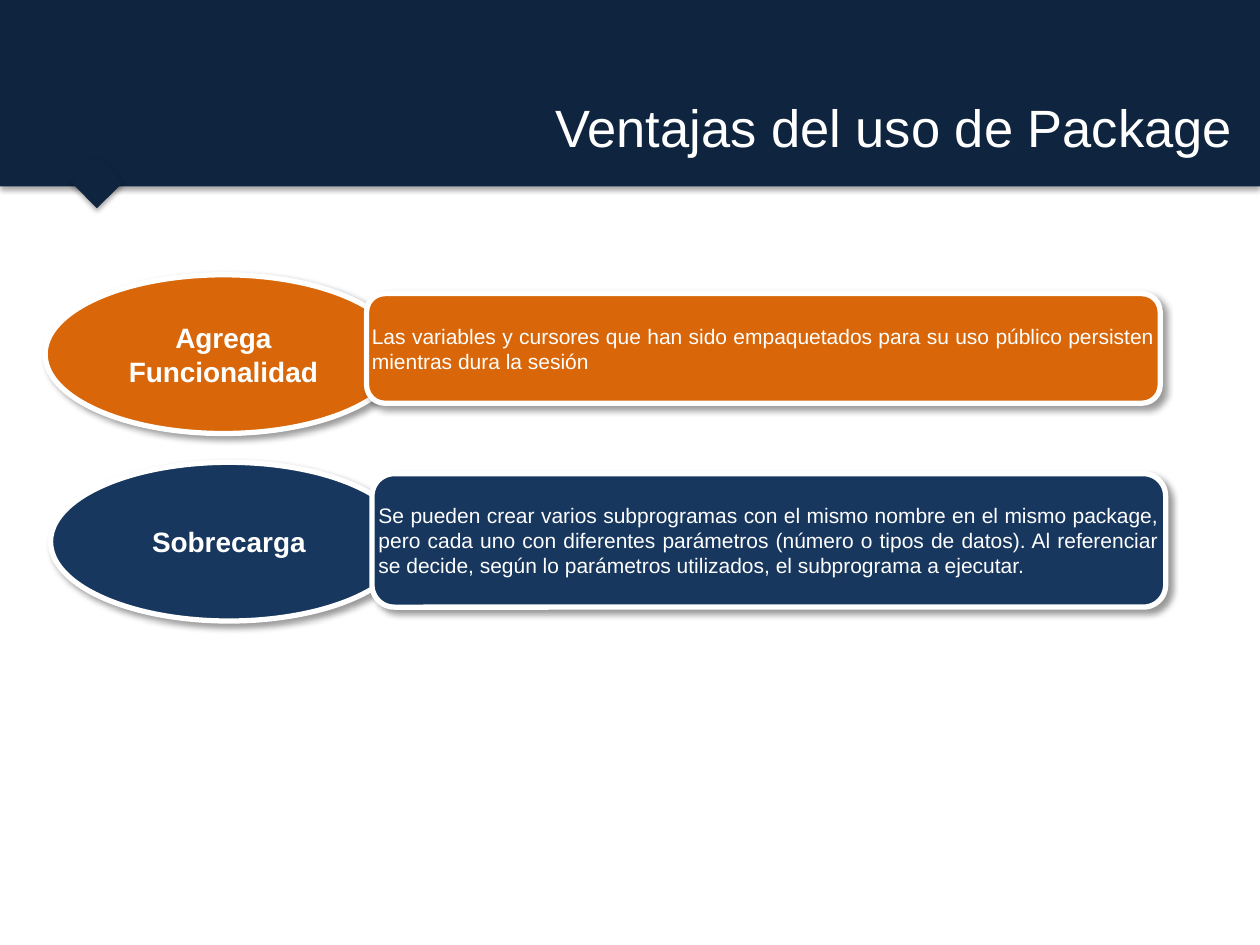
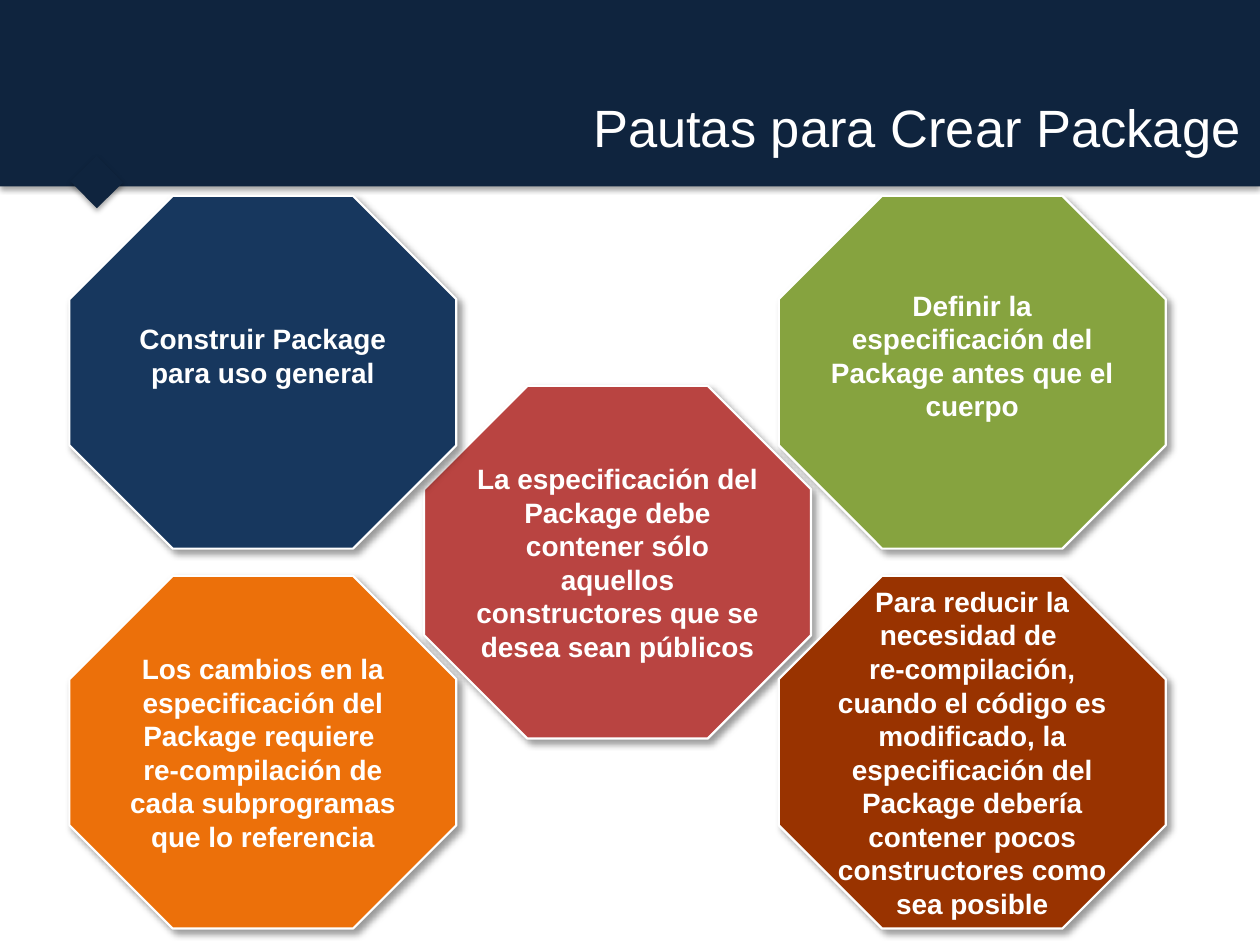
from lxml import etree
from pptx import Presentation
from pptx import util as u
from pptx.dml.color import RGBColor
from pptx.enum import shapes, text
from pptx.oxml.ns import qn

WHITE = RGBColor(0xFF, 0xFF, 0xFF)
NIGHT = RGBColor(0x0F, 0x24, 0x3E)
NAVY = RGBColor(0x17, 0x37, 0x5E)
AMBER = RGBColor(0xD9, 0x67, 0x09)
ORANGE = RGBColor(0xEC, 0x70, 0x0A)
RED = RGBColor(0xB9, 0x44, 0x41)
GREEN = RGBColor(0x86, 0xA3, 0x3F)
RUST = RGBColor(0x99, 0x33, 0x00)

FONT = "Arial"
TITLE_ONLY = 5
BAND_SHADOW = (35, 3.1, 1.8, 90)
SHAPE_SHADOW = (40, 4, 3, 45)

ADVANTAGES = [
    ((0.91, 5.54), 0.38, 2.21, AMBER, "Agrega Funcionalidad",
     "Las variables y cursores que han sido empaquetados para su uso público "
     "persisten mientras dura la sesión"),
    ((1.02, 9.32), 0.23, 2.69, NAVY, "Sobrecarga",
     "Se pueden crear varios subprogramas con el mismo nombre en el mismo package, "
     "pero cada uno con diferentes parámetros (número o tipos de datos). Al referenciar "
     "se decide, según lo parámetros utilizados, el subprograma a ejecutar."),
]

GUIDELINES = [
    (1, 1, RED, 0, "La especificación del Package debe contener sólo aquellos "
                   "constructores que se desea sean públicos"),
    (2, 0, GREEN, 0.68, "Definir la especificación del Package antes que el cuerpo"),
    (0, 0, NAVY, 0.68, "Construir Package para uso general"),
    (0, 2, ORANGE, 0, "Los cambios en la especificación del Package requiere \n"
                      "re-compilación de cada subprogramas que lo referencia"),
    (2, 2, RUST, 0, "Para reducir la necesidad de \n"
                    "re-compilación, cuando el código es modificado, la especificación del "
                    "Package debería contener pocos constructores como sea posible"),
]


def add_shadow(shape, opacity, blur, distance, angle):
    """Give a shape a black outer shadow, in percent, points and degrees."""
    shape.shadow.inherit = False
    effects = shape._element.spPr.find(qn("a:effectLst"))
    shadow = etree.SubElement(
        effects, qn("a:outerShdw"), blurRad=str(u.Pt(blur)), dist=str(u.Pt(distance)),
        dir=str(angle * 60000), algn="ctr", rotWithShape="0")
    color = etree.SubElement(shadow, qn("a:srgbClr"), val="000000")
    etree.SubElement(color, qn("a:alpha"), val=str(opacity * 1000))


def add_filled(slide, kind, box, fill, line_width=0, shadow=SHAPE_SHADOW):
    """Add a filled shape with a white outline, or none if the width is zero."""
    shape = slide.shapes.add_shape(kind, *map(u.Cm, box))
    shape.fill.solid()
    shape.fill.fore_color.rgb = fill
    if line_width:
        shape.line.color.rgb = WHITE
        shape.line.width = u.Pt(line_width)
    else:
        shape.line.fill.background()
    add_shadow(shape, *shadow)
    return shape


def write(shape, words, size, alignment, bold=False):
    """Write white text, vertically centred, in a shape."""
    frame = shape.text_frame
    frame.text = words
    frame.word_wrap = True
    frame.vertical_anchor = text.MSO_ANCHOR.MIDDLE
    for paragraph in frame.paragraphs:
        paragraph.alignment = alignment
        for run in paragraph.runs:
            run.font.name = FONT
            run.font.size = u.Pt(size)
            run.font.bold = bold
            run.font.color.rgb = WHITE


def write_inside(shape, words, size, alignment, bold=False, bottom=0):
    """Write text in a shape without margins, except an optional one below."""
    write(shape, words, size, alignment, bold)
    frame = shape.text_frame
    frame.margin_left = frame.margin_top = frame.margin_right = 0
    frame.margin_bottom = u.Cm(bottom)


def add_title(slide, words, box):
    """Place and format the slide title."""
    title = slide.shapes.title
    title.left, title.top, title.width, title.height = map(u.Cm, box)
    write(title, words, 30, text.PP_ALIGN.RIGHT)


def move_band_to_layout(slide):
    """Build the title band with its pointer and share it through the layout."""
    rectangle = shapes.MSO_SHAPE.RECTANGLE
    band = add_filled(slide, rectangle, (0, 0, 25.4, 3.76), NIGHT, shadow=BAND_SHADOW)
    pointer = add_filled(slide, rectangle, (1.57, 3.3, 0.76, 0.74), NIGHT, shadow=BAND_SHADOW)
    pointer.rotation = 45.6
    tree = slide.slide_layout.shapes._spTree
    for index, shape in enumerate((band, pointer)):
        shape._element.nvSpPr.cNvPr.set("id", str(100 + index))
        tree.insert(2 + index, shape._element)


def add_advantage(slide, corner, bar_drop, bar_height, fill, name, detail):
    """Add an ellipse with a name and, over its right end, a bar with the detail."""
    left, top = corner
    ellipse = add_filled(slide, shapes.MSO_SHAPE.OVAL, (left, top, 7.19, 3.2), fill, 3)
    write_inside(ellipse, name, 16, text.PP_ALIGN.CENTER, bold=True)
    bar = add_filled(slide, shapes.MSO_SHAPE.ROUNDED_RECTANGLE,
                     (left + 6.48, top + bar_drop, 16, bar_height), fill, 3)
    write_inside(bar, detail, 12, text.PP_ALIGN.JUSTIFY)


def add_guidelines(slide, left, top):
    """Add the octagons on a three by three grid, as on a die."""
    for column, row, fill, bottom, words in GUIDELINES:
        box = (left + 7.15 * column, top + 3.83 * row, 7.8, 7.11)
        octagon = add_filled(slide, shapes.MSO_SHAPE.OCTAGON, box, fill, 1.25)
        write_inside(octagon, words, 16, text.PP_ALIGN.CENTER, bold=True, bottom=bottom)


def build_advantages(presentation):
    """Build the slide on the advantages of packages."""
    slide = presentation.slides.add_slide(presentation.slide_layouts[TITLE_ONLY])
    move_band_to_layout(slide)
    add_title(slide, "Ventajas del uso de Package", (1.3, 0.53, 23.8, 4.06))
    for advantage in ADVANTAGES:
        add_advantage(slide, *advantage)


def build_guidelines(presentation):
    """Build the slide on the guidelines for creating packages."""
    slide = presentation.slides.add_slide(presentation.slide_layouts[TITLE_ONLY])
    add_title(slide, "Pautas para Crear Package", (0.89, 0.53, 24.38, 4.06))
    add_guidelines(slide, 1.4, 3.95)


def main():
    """Build and save the presentation."""
    presentation = Presentation()
    presentation.slide_width = u.Cm(25.4)
    presentation.slide_height = u.Cm(19.05)
    build_advantages(presentation)
    build_guidelines(presentation)
    presentation.save("out.pptx")


if __name__ == "__main__":
    main()
